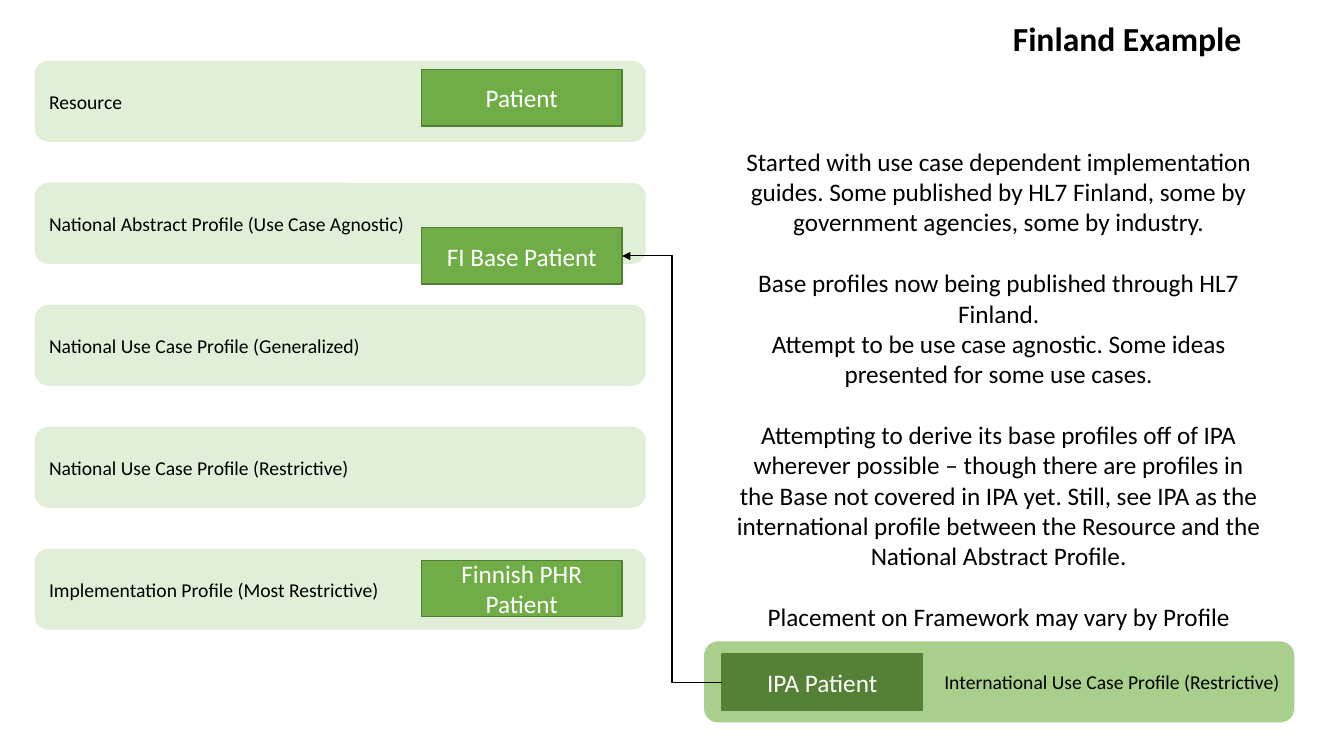
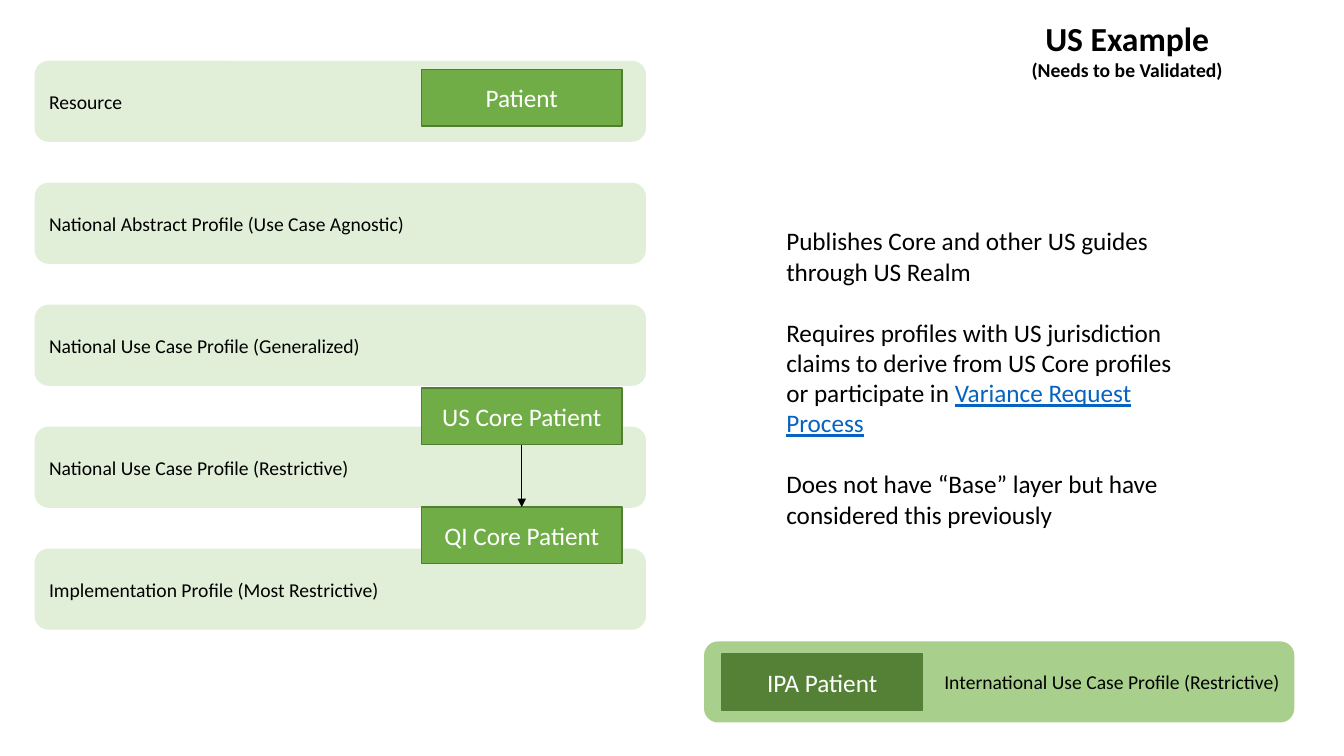
import dataclasses

import lxml.etree
import pptx
import pptx.dml.color
import pptx.enum.shapes
import pptx.enum.text
import pptx.oxml.ns
import pptx.util

SHAPE = pptx.enum.shapes.MSO_SHAPE
CONNECTOR = pptx.enum.shapes.MSO_CONNECTOR
ALIGN = pptx.enum.text.PP_ALIGN
ANCHOR = pptx.enum.text.MSO_ANCHOR
EMU_PER_PX = 9144  # 100 px to the inch

TOP, LEFT, BOTTOM, RIGHT = range(4)  # connection sites of a rectangle
BAND_H = 79
BOX_X, BOX_W, BOX_H = 418, 199, 56
LEVELS = [
    "Resource",
    "National Abstract Profile (Use Case Agnostic)",
    "National Use Case Profile (Generalized)",
    "National Use Case Profile (Restrictive)",
    "Implementation Profile (Most Restrictive)",
]


@dataclasses.dataclass(frozen=True)
class Theme:
    font: str = "Calibri"
    text: str = "000000"
    inverse: str = "FFFFFF"
    link: str = "0563C1"
    national_band: str = "E1EFD8"
    national_box: str = "70AD47"
    national_edge: str = "517E33"
    global_band: str = "A8D08C"
    global_box: str = "548135"
    title_size: int = 24
    body_size: int = 18
    label_size: int = 14
    paragraph_gap: int = 22
    edge_width: float = 1
    arrow_width: float = 0.75


THEME = Theme()


def px(n):
    return pptx.util.Emu(round(n * EMU_PER_PX))


def rgb(color):
    return pptx.dml.color.RGBColor.from_string(color)


def write(tf, text, *, size=THEME.body_size, color=THEME.text, bold=False,
          underline=False, align=ALIGN.LEFT, gap=0, inline=False):
    """Add a paragraph to tf, or with inline a run to its last paragraph."""
    p = tf.paragraphs[-1]
    if not inline:
        if p.runs:
            p = tf.add_paragraph()
            p.space_before = pptx.util.Pt(gap)
        p.alignment = align
    r = p.add_run()
    r.text = text
    r.font.name = THEME.font
    r.font.size = pptx.util.Pt(size)
    r.font.bold = bold
    r.font.underline = underline
    r.font.color.rgb = rgb(color)


class Deck:
    def __init__(self):
        self.prs = pptx.Presentation()
        self.prs.slide_width = px(1333)
        self.prs.slide_height = px(750)
        self.slide = None

    def new_slide(self, title, subtitle=None):
        """Start a slide with its title and the framework every slide shows."""
        self.slide = self.prs.slides.add_slide(self.prs.slide_layouts[6])
        for i, level in enumerate(LEVELS):
            self.band(35, 61 + 121 * i, 605, level, THEME.national_band)
        self.box(69, "Patient")
        self.band(699, 637, 584, "International Use Case Profile (Restrictive)",
                  THEME.global_band, ALIGN.RIGHT)
        ipa = self.box(649, "IPA Patient", x=716, fill=THEME.global_box,
                       edge=THEME.global_box)
        tf = self.text_box(903, 13, 430, 74)
        write(tf, title, size=THEME.title_size, bold=True, align=ALIGN.CENTER)
        if subtitle:
            write(tf, subtitle, size=THEME.label_size, bold=True,
                  align=ALIGN.CENTER)
        return ipa

    def shape(self, kind, x, y, w, h, fill, edge, text, **fmt):
        sp = self.slide.shapes.add_shape(kind, px(x), px(y), px(w), px(h))
        sp.shadow.inherit = False
        sp.fill.solid()
        sp.fill.fore_color.rgb = rgb(fill)
        sp.line.color.rgb = rgb(edge)
        sp.line.width = pptx.util.Pt(THEME.edge_width)
        tf = sp.text_frame
        tf.word_wrap = True
        tf.vertical_anchor = ANCHOR.MIDDLE
        write(tf, text, **fmt)
        return sp

    def band(self, x, y, w, text, fill, align=ALIGN.LEFT):
        return self.shape(SHAPE.ROUNDED_RECTANGLE, x, y, w, BAND_H, fill, fill,
                          text, size=THEME.label_size, align=align)

    def box(self, y, text, x=BOX_X, fill=THEME.national_box,
            edge=THEME.national_edge):
        return self.shape(SHAPE.RECTANGLE, x, y, BOX_W, BOX_H, fill, edge, text,
                          color=THEME.inverse, align=ALIGN.CENTER)

    def text_box(self, x, y, w, h):
        tf = self.slide.shapes.add_textbox(px(x), px(y), px(w), px(h)).text_frame
        tf.word_wrap = True
        return tf

    def arrow(self, kind, start, start_site, end, end_site):
        """Join two boxes, with the arrowhead at the end box."""
        cxn = self.slide.shapes.add_connector(kind, 0, 0, 0, 0)
        cxn.begin_connect(start, start_site)
        cxn.end_connect(end, end_site)
        cxn.line.color.rgb = rgb(THEME.text)
        cxn.line.width = pptx.util.Pt(THEME.arrow_width)
        qn = pptx.oxml.ns.qn
        ln = cxn.line._get_or_add_ln()
        lxml.etree.SubElement(ln, qn("a:tailEnd"), type="triangle")
        lxml.etree.SubElement(cxn._element.spPr, qn("a:effectLst"))


def finland_slide(deck):
    ipa = deck.new_slide("Finland Example")
    base = deck.box(226, "FI Base Patient")
    deck.box(556, "Finnish PHR Patient")
    deck.arrow(CONNECTOR.ELBOW, ipa, LEFT, base, RIGHT)
    tf = deck.text_box(718, 140, 545, 525)
    gap = THEME.paragraph_gap
    for text, space in [
        ("Started with use case dependent implementation guides. Some published "
         "by HL7 Finland, some by government agencies, some by industry.", 0),
        ("Base profiles now being published through HL7 Finland.", gap),
        ("Attempt to be use case agnostic. Some ideas presented for some use "
         "cases.", 0),
        ("Attempting to derive its base profiles off of IPA wherever possible – "
         "though there are profiles in the Base not covered in IPA yet. Still, "
         "see IPA as the international profile between the Resource and the "
         "National Abstract Profile.", gap),
        ("Placement on Framework may vary by Profile", gap),
    ]:
        write(tf, text, align=ALIGN.CENTER, gap=space)


def us_slide(deck):
    deck.new_slide("US Example", "(Needs to be Validated)")
    us_core = deck.box(385, "US Core Patient")
    qi_core = deck.box(503, "QI Core Patient")
    deck.arrow(CONNECTOR.STRAIGHT, us_core, BOTTOM, qi_core, TOP)
    tf = deck.text_box(770, 219, 408, 313)
    gap = THEME.paragraph_gap
    write(tf, "Publishes Core and other US guides through US Realm")
    write(tf, "Requires profiles with US jurisdiction claims to derive from US "
          "Core profiles or participate in ", gap=gap)
    write(tf, "Variance Request Process", color=THEME.link, underline=True,
          inline=True)
    write(tf, "Does not have “Base” layer but have considered this previously",
          gap=gap)


def main():
    deck = Deck()
    finland_slide(deck)
    us_slide(deck)
    deck.prs.save("out.pptx")


if __name__ == "__main__":
    main()
